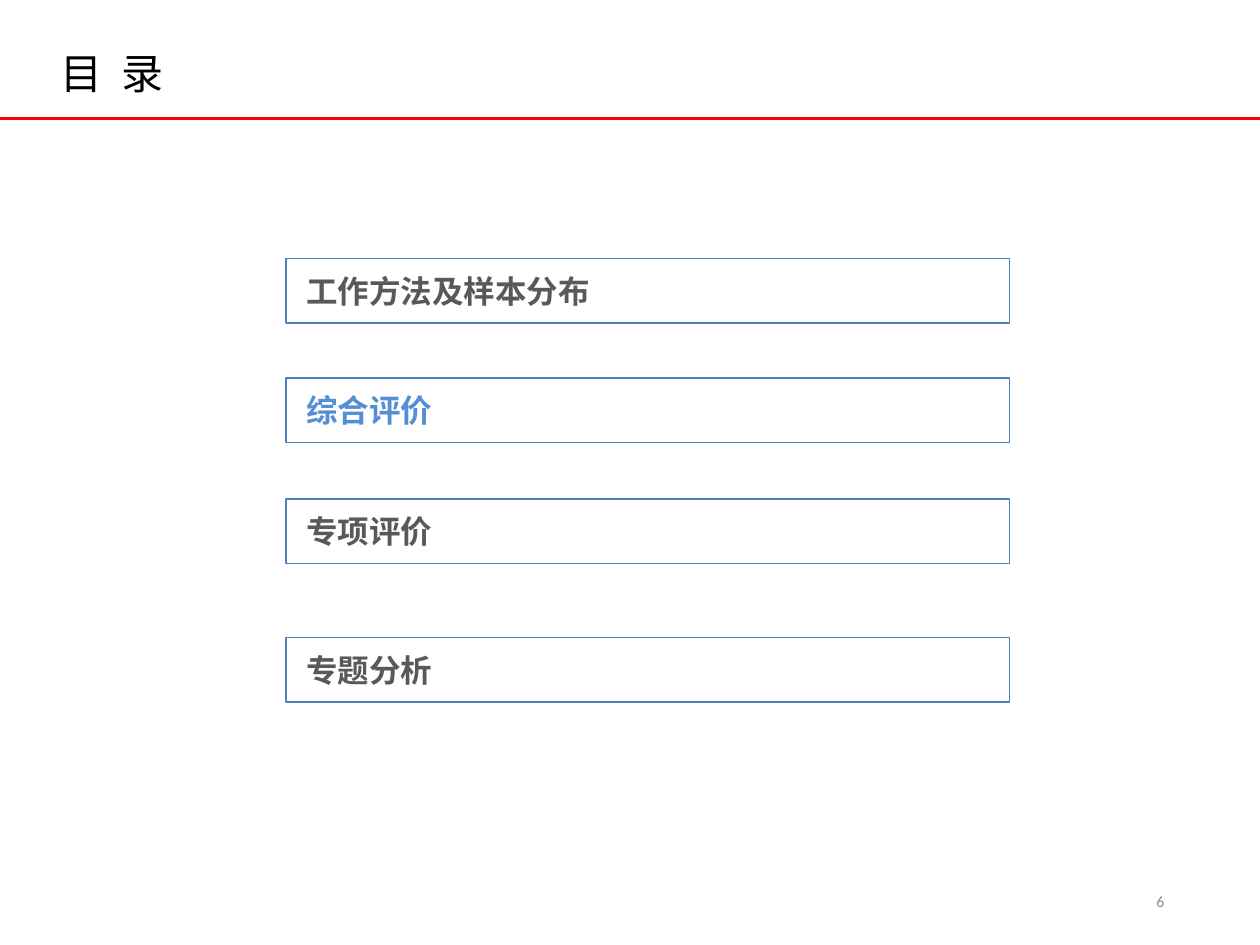
from dataclasses import dataclass

from lxml.etree import SubElement
from pptx import Presentation
from pptx.dml.color import RGBColor
from pptx.enum.shapes import MSO_CONNECTOR, MSO_SHAPE
from pptx.enum.text import MSO_ANCHOR, PP_ALIGN
from pptx.oxml.ns import qn
from pptx.util import Cm, Pt


@dataclass(frozen=True)
class Theme:
    font: str = "Noto Sans CJK SC"
    number_font: str = "Calibri"
    title_size: float = 24
    entry_size: float = 18
    number_size: float = 9
    black: str = "000000"
    white: str = "FFFFFF"
    gray: str = "595959"
    light_gray: str = "8C8C8C"
    red: str = "FF0000"
    border: str = "4F81BD"
    highlight: str = "558ED5"


def write_text(frame, text, *, font, size, color, bold=False,
               align=PP_ALIGN.LEFT, insets=(0.25, 0.13), spacing=0):
    """Fill a text frame; insets in cm (sides, top and bottom), spacing in points."""
    frame.word_wrap = True
    frame.vertical_anchor = MSO_ANCHOR.MIDDLE
    frame.margin_left = frame.margin_right = Cm(insets[0])
    frame.margin_top = frame.margin_bottom = Cm(insets[1])
    paragraph = frame.paragraphs[0]
    paragraph.alignment = align
    run = paragraph.add_run()
    run.text = text
    run.font.name = font
    run.font.size = Pt(size)
    run.font.bold = bold
    run.font.color.rgb = RGBColor.from_string(color)
    # East Asian font and letter spacing
    properties = run._r.get_or_add_rPr()
    SubElement(properties, qn("a:ea")).set("typeface", font)
    if spacing:
        properties.set("spc", str(round(spacing * 100)))


class SlideBuilder:
    def __init__(self, slide, theme):
        self.slide = slide
        self.theme = theme

    def text(self, left, top, width, height, text, **style):
        shape = self.slide.shapes.add_textbox(Cm(left), Cm(top), Cm(width), Cm(height))
        write_text(shape.text_frame, text, **style)

    def rule(self, top, width):
        line = self.slide.shapes.add_connector(
            MSO_CONNECTOR.STRAIGHT, 0, Cm(top), Cm(width), Cm(top))
        line.line.color.rgb = RGBColor.from_string(self.theme.red)
        line.line.width = Pt(1.75)
        SubElement(line._element.spPr, qn("a:effectLst"))

    def frame(self, left, top, width, height):
        shape = self.slide.shapes.add_shape(
            MSO_SHAPE.RECTANGLE, Cm(left), Cm(top), Cm(width), Cm(height))
        shape.shadow.inherit = False
        shape.fill.solid()
        shape.fill.fore_color.rgb = RGBColor.from_string(self.theme.white)
        shape.line.color.rgb = RGBColor.from_string(self.theme.border)
        shape.line.width = Pt(1)

    def entry(self, top, text, color):
        left, width, height = 5.77, 14.58, 1.3
        self.frame(left, top, width, height)
        self.text(left + 0.1, top + 0.05, 11.43, height - 0.1, text,
                  font=self.theme.font, size=self.theme.entry_size,
                  color=color, bold=True, insets=(0.3, 0.3))


def main():
    theme = Theme()
    presentation = Presentation()
    presentation.slide_width, presentation.slide_height = Cm(25.4), Cm(19.05)
    slide = presentation.slides.add_slide(presentation.slide_layouts[6])
    builder = SlideBuilder(slide, theme)

    # Header
    builder.rule(2.39, 25.4)
    builder.text(0.97, 0.76, 16.66, 1.42, "目 录", font=theme.font,
                 size=theme.title_size, color=theme.black, spacing=2.7)

    # Contents, with the current section highlighted
    current = "综合评价"
    entries = [(5.21, "工作方法及样本分布"), (7.62, current),
               (10.06, "专项评价"), (12.85, "专题分析")]
    for top, text in entries:
        builder.entry(top, text, theme.highlight if text == current else theme.gray)

    # Page number
    builder.text(17.93, 17.65, 5.72, 1.02, "6", font=theme.number_font,
                 size=theme.number_size, color=theme.light_gray,
                 align=PP_ALIGN.RIGHT, insets=(0.18, 0.1))

    presentation.save("out.pptx")


if __name__ == "__main__":
    main()
